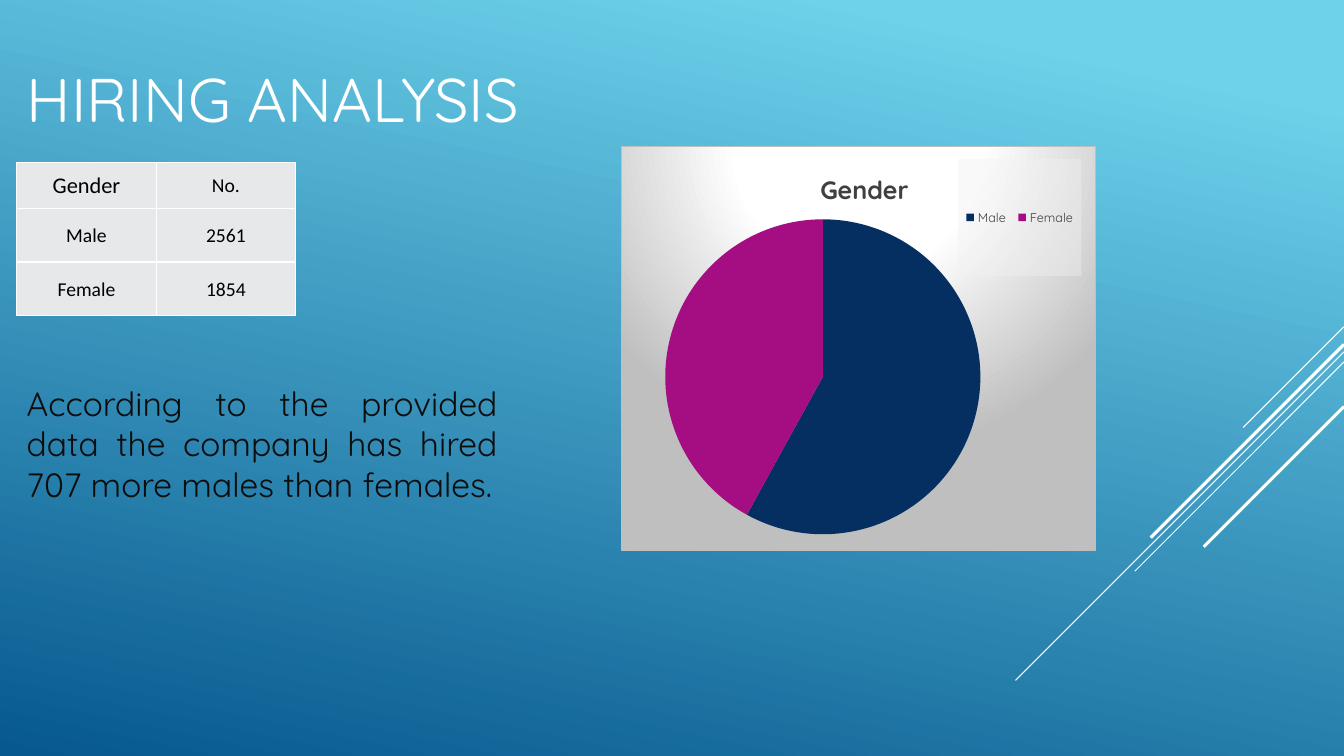
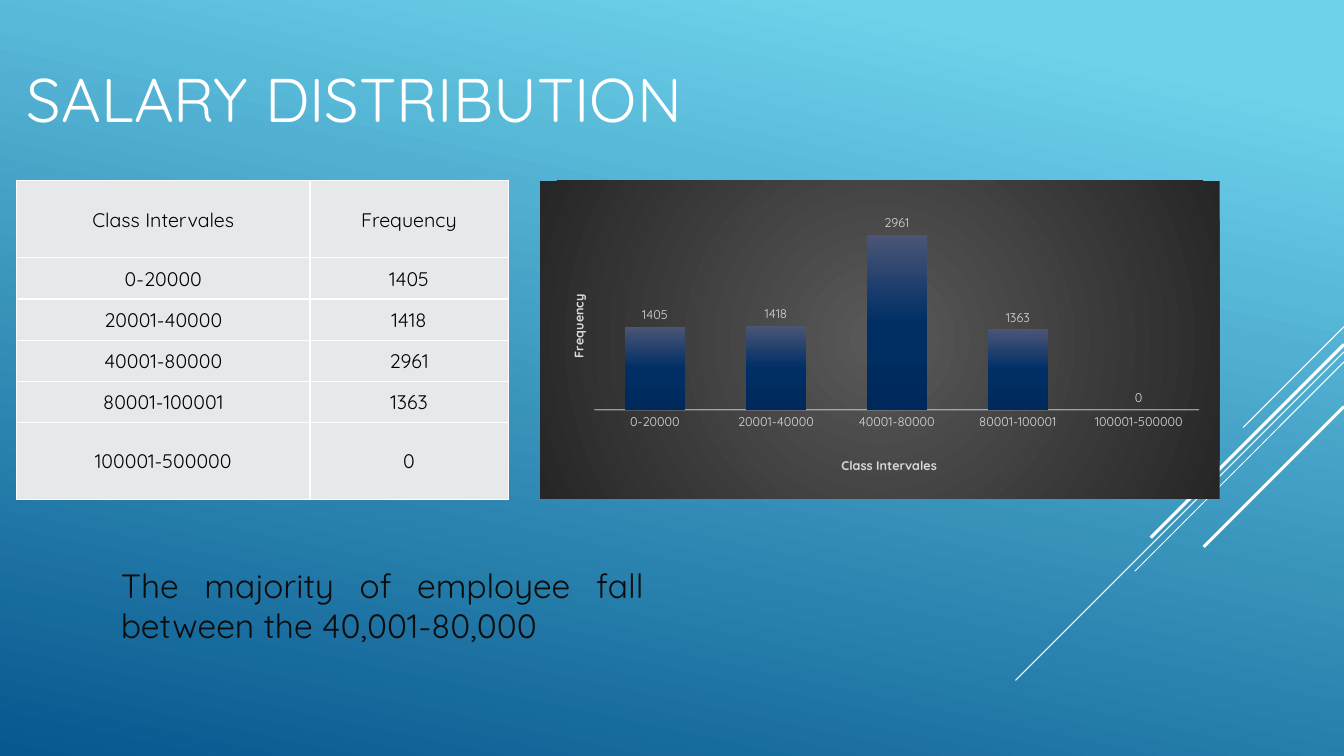
from pptx import Presentation
from pptx.chart.data import CategoryChartData
from pptx.dml.color import RGBColor
from pptx.enum.chart import XL_CHART_TYPE, XL_LABEL_POSITION, XL_LEGEND_POSITION, XL_TICK_MARK
from pptx.enum.shapes import MSO_CONNECTOR
from pptx.enum.text import MSO_ANCHOR, PP_ALIGN
from pptx.oxml.ns import qn
from pptx.oxml.xmlchemy import OxmlElement
from pptx.util import Inches, Pt

PIE, COLUMN = XL_CHART_TYPE.PIE, XL_CHART_TYPE.COLUMN_CLUSTERED
OUTSIDE, RIGHT_LEGEND = XL_LABEL_POSITION.OUTSIDE_END, XL_LEGEND_POSITION.RIGHT
NO_TICK, STRAIGHT = XL_TICK_MARK.NONE, MSO_CONNECTOR.STRAIGHT
MIDDLE = MSO_ANCHOR.MIDDLE
LEFT, CENTER, JUSTIFY = PP_ALIGN.LEFT, PP_ALIGN.CENTER, PP_ALIGN.JUSTIFY

COLS, ROWS, UNIT = 160, 90, Inches(1) / 12
FONT = "Quicksand"
WHITE, BLACK, INK, GREY = "FFFFFF", "000000", "0D0D0D", "404040"
CELL, SILVER, PALE = "E7E8EA", "BFBFBF", "D9D9D9"
NAVY, MAGENTA = "052F61", "A50E82"
SKY = [(10, "6ED2EB"), (100, "06588E")]
RAYS = [(38.9, 12, 0.75), (41.9, 39.1, 0.75), (43.1, 24.9, 0.75), (41, 23, 2.25), (48.4, 16.7, 2.25)]


def grid(*lengths):
    """Turn grid units into slide lengths."""
    return [round(n * UNIT) for n in lengths]


def rgb(value):
    """Turn a hex string into a colour."""
    return RGBColor.from_string(value)


def node(tag, *children, **attrs):
    """Build an XML element."""
    el = OxmlElement(tag)
    for key, value in attrs.items():
        el.set(key, str(value))
    el.extend(children)
    return el


def solid(color, alpha=100):
    """Build a solid fill with an opacity in percent."""
    return node("a:solidFill", node("a:srgbClr", node("a:alpha", val=alpha * 1000), val=color))


def gradient(stops, angle=None, focus=None):
    """Build a linear gradient, or a circular one around a focus."""
    stop_list = node("a:gsLst", *[node("a:gs", node("a:srgbClr", val=c), pos=at * 1000) for at, c in stops])
    if focus is None:
        return node("a:gradFill", stop_list, node("a:lin", ang=angle * 60000, scaled=0), rotWithShape=1)
    rect = node("a:fillToRect", **{side: n * 1000 for side, n in zip("ltrb", focus)})
    return node("a:gradFill", stop_list, node("a:path", rect, path="circle"), rotWithShape=1)


def put_text(tf, text, size=14, color=BLACK, font=FONT, bold=False, align=None):
    """Write one formatted paragraph."""
    p = tf.paragraphs[0]
    p.text = text
    p.alignment = align
    f = p.runs[0].font
    f.size, f.name, f.bold = Pt(size), font, bold
    f.color.rgb = rgb(color)


def set_font(font, size, color):
    """Format the font of a chart part."""
    font.size, font.name = Pt(size), FONT
    font.color.rgb = rgb(color)


def decorate(layout, slide):
    """Give the layout its background and diagonal rays."""
    layout.background.fill.solid()
    old = layout.element.xpath(".//p:bgPr/a:solidFill")[0]
    old.getparent().replace(old, gradient(SKY, angle=102))
    for row, length, width in RAYS:
        c = slide.shapes.add_connector(STRAIGHT, *grid(COLS, row, COLS - length, row + length))
        c.line.color.rgb = rgb(WHITE)
        c.line.width = Pt(width)
        c.element.spPr.append(node("a:effectLst"))
        layout.shapes.element.append(c.element)


def add_title(slide, text):
    """Fill the title placeholder."""
    sp = slide.shapes.title
    sp.left, sp.top, sp.width, sp.height = grid(2, 1.7, 112, 19.8)
    sp.text_frame.vertical_anchor = MIDDLE
    put_text(sp.text_frame, text, size=44, color=WHITE, align=LEFT)


def add_note(slide, text, *box):
    """Add a justified paragraph."""
    tf = slide.shapes.add_textbox(*grid(*box)).text_frame
    tf.word_wrap = True
    put_text(tf, text, size=24, color=INK, align=JUSTIFY)


def add_table(slide, left, top, widths, heights, rows, font=FONT):
    """Add a table with white rules and return it."""
    box = grid(left, top, sum(widths), sum(heights))
    frame = slide.shapes.add_table(len(rows), len(widths), *box)
    table = frame.table
    table.first_row = table.horz_banding = False
    for col, width in zip(table.columns, grid(*widths)):
        col.width = width
    for row, height, texts in zip(table.rows, grid(*heights), rows):
        row.height = height
        for cell, text in zip(row.cells, texts):
            cell.fill.solid()
            cell.fill.fore_color.rgb = rgb(CELL)
            cell.vertical_anchor = MIDDLE
            cell.margin_left = cell.margin_top = cell.margin_right = Inches(0.01)
            cell.margin_bottom = 0
            put_text(cell.text_frame, text, font=font, align=CENTER)
    for props in frame.element.iter(qn("a:tcPr")):
        for i, side in enumerate("LRTB"):
            props.insert(i, node(f"a:ln{side}", solid(WHITE), w=Pt(1)))
    return table


def place(part, x, y, w=None, h=None):
    """Set a chart part at shares of the chart's size."""
    for old in part.findall(qn("c:layout")):
        part.remove(old)
    manual = node("c:manualLayout")
    if part.tag == qn("c:plotArea"):
        manual.append(node("c:layoutTarget", val="inner"))
    manual.extend([node("c:xMode", val="edge"), node("c:yMode", val="edge")])
    sizes = zip("xywh", (x, y, w, h))
    manual.extend([node(f"c:{key}", val=n) for key, n in sizes if n is not None])
    head = [el for el in part if el.tag in (qn("c:tx"), qn("c:legendPos"))]
    part.insert(part.index(head[0]) + 1 if head else 0, node("c:layout", manual))


def add_chart(slide, kind, box, cats, values, back, border=None):
    """Add a one-series chart on a gradient and return it."""
    data = CategoryChartData()
    data.categories = cats
    data.add_series("Series 1", values)
    chart = slide.shapes.add_chart(kind, *grid(*box), data).chart
    set_font(chart.font, 10, WHITE)
    line = node("a:ln", solid(border) if border else node("a:noFill"), w=Pt(0.75))
    chart.element.find(qn("c:chart")).addnext(node("c:spPr", back, line))
    return chart


def add_gender_pie(slide):
    """Add the pie of hires by gender."""
    back = gradient([(0, WHITE), (39, WHITE), (100, SILVER)], focus=(50, -80, 50, 180))
    chart = add_chart(slide, PIE, (73.9, 17.4, 56.6, 48.2), ["Male", "Female"], [58, 42], back, SILVER)
    chart.has_title = chart.has_legend = True
    put_text(chart.chart_title.text_frame, "Gender", size=18, color=GREY, bold=True)
    chart.legend.position = RIGHT_LEGEND
    chart.legend.include_in_layout = False
    set_font(chart.legend.font, 9, GREY)
    plot = chart.plots[0]
    plot.vary_by_categories = True
    for i, color in enumerate((NAVY, MAGENTA)):
        fill = plot.series[0].points[i].format.fill
        fill.solid()
        fill.fore_color.rgb = rgb(color)
    find = chart.element.xpath
    legend = find(".//c:legend")[0]
    legend.find(qn("c:overlay")).addnext(node("c:spPr", solid("F2F2F2", 39)))
    place(legend, 0.71, 0.03, 0.26, 0.29)
    place(find("c:chart/c:title")[0], 0.41, 0.05)
    place(find(".//c:plotArea")[0], 0.09, 0.18, 0.67, 0.78)


def add_salary_columns(slide, cats, values):
    """Add the columns of salary frequencies."""
    back = gradient([(0, "595959"), (100, "262626")], focus=(50, 50, 50, 50))
    chart = add_chart(slide, COLUMN, (64.3, 21.5, 80.9, 37.9), cats, values, back)
    chart.has_title = chart.has_legend = False
    plot = chart.plots[0]
    plot.gap_width, plot.overlap, plot.vary_by_categories = 100, -24, False
    plot.has_data_labels = True
    labels = plot.data_labels
    labels.show_value, labels.position = True, OUTSIDE
    set_font(labels.font, 9, PALE)
    cat, val = chart.category_axis, chart.value_axis
    for axis, text in ((cat, "Class Intervales"), (val, "Frequency")):
        put_text(axis.axis_title.text_frame, text, size=9, color=PALE, bold=True)
    val.visible = val.has_major_gridlines = False
    val.minimum_scale, val.maximum_scale = 0, 3500
    cat.major_tick_mark = NO_TICK
    set_font(cat.tick_labels.font, 9, PALE)
    cat.format.line.color.rgb = rgb("F2F2F2")
    cat.format.line.width = Pt(1)
    plot.series[0].format.fill.solid()
    find = chart.element.xpath
    find(".//c:catAx/c:spPr//a:srgbClr")[0].append(node("a:alpha", val=54000))
    bars = find(".//c:ser/c:spPr")[0]
    bars.replace(bars[0], gradient([(0, "4B5576"), (50, "002F66"), (100, "00295B")], angle=90))
    turned = find(".//c:valAx/c:title//a:bodyPr")[0]
    turned.set("rot", "-5400000")
    turned.set("vert", "horz")
    place(find(".//c:catAx/c:title")[0], 0.44, 0.86)
    place(find(".//c:valAx/c:title")[0], 0.04, 0.35)
    place(find(".//c:plotArea")[0], 0.08, 0.07, 0.89, 0.65)


def hiring_slide(slide):
    """Build the slide on hires by gender."""
    add_title(slide, "HIRING ANALYSIS")
    rows = [("Gender", "No."), ("Male", "2561"), ("Female", "1854")]
    table = add_table(slide, 2, 19.3, [16.6] * 2, [5.5, 6.4, 6.4], rows, font="Calibri")
    put_text(table.cell(0, 0).text_frame, "Gender", size=16, font="Calibri", align=CENTER)
    add_gender_pie(slide)
    add_note(slide, "According to the provided data the company has hired 707 more males than females.",
             2, 45, 58.4, 20.6)


def salary_slide(slide):
    """Build the slide on salary classes."""
    add_title(slide, "SALARY DISTRIBUTION")
    cats = ["0-20000", "20001-40000", "40001-80000", "80001-100001", "100001-500000"]
    values = [1405, 1418, 2961, 1363, 0]
    rows = [("Class Intervales", "Frequency"), *zip(cats, map(str, values))]
    add_table(slide, 2, 21.5, [34.9, 23.6], [9.2, *[4.9] * 4, 9.2], rows)
    add_salary_columns(slide, cats, values)
    add_note(slide, "The majority of employee fall between the 40,001-80,000", 13.2, 66.6, 64.6, 10.9)


def main():
    """Build and save the presentation."""
    prs = Presentation()
    prs.slide_width, prs.slide_height = grid(COLS, ROWS)
    layout = prs.slide_layouts[5]
    hiring, salary = [prs.slides.add_slide(layout) for _ in range(2)]
    decorate(layout, hiring)
    hiring_slide(hiring)
    salary_slide(salary)
    prs.save("out.pptx")


if __name__ == "__main__":
    main()
